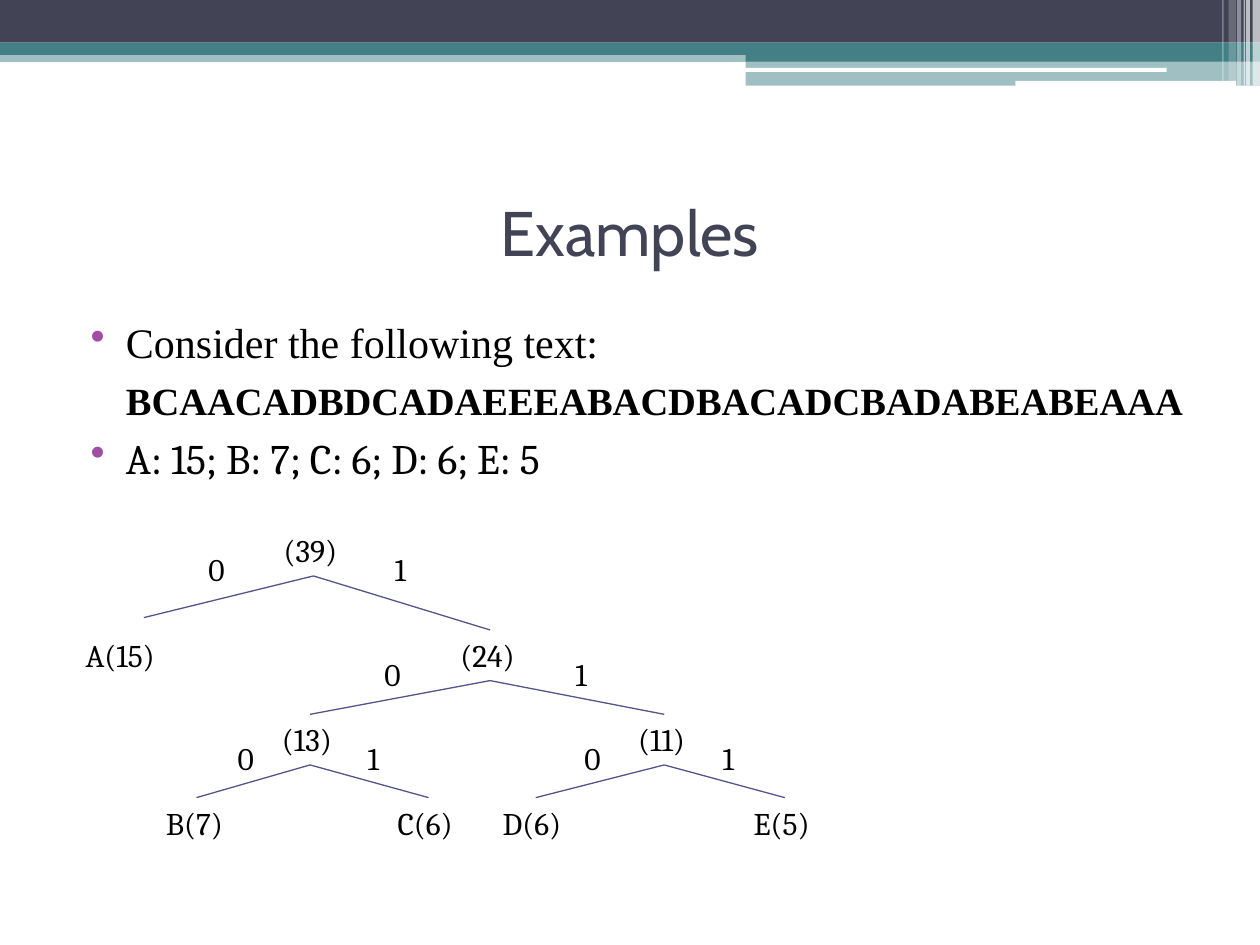
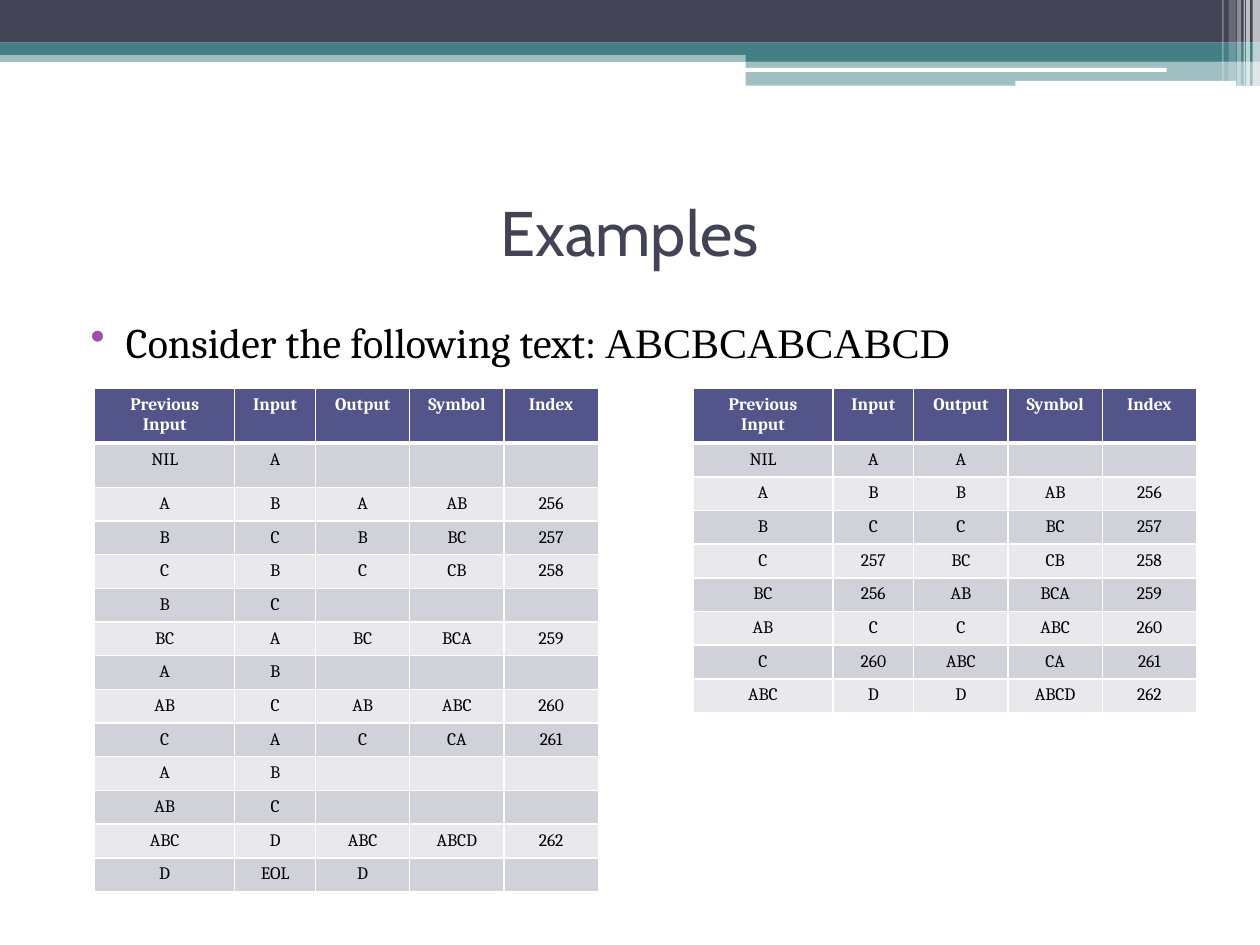
from dataclasses import dataclass
from lxml import etree
from pptx import Presentation
from pptx import util as u
from pptx.dml.color import RGBColor
from pptx.enum import shapes, text
from pptx.oxml.ns import qn


@dataclass(frozen=True)
class Theme:
    dark: str = "424456"
    teal: str = "438086"
    indigo: str = "53548A"
    bullet: str = "A04DA3"
    band_dark: str = "D1D1DA"
    band_light: str = "E9E9ED"
    white: str = "FFFFFF"
    black: str = "000000"
    heading: str = "Cabin"
    body: str = "Cambria"
    serif: str = "Times New Roman"
    title_size: int = 36
    body_size: int = 24
    code_size: int = 22
    tree_size: int = 18
    table_size: int = 10


THEME = Theme()

# ---- Content (lengths in cm) ----
TITLE = "Examples"

# Header bands: left, top, width, height, colour, opacity in percent, rounded
BANDS = [
    (0, 1.02, 25.4, 0.23, THEME.teal, 50, False),
    (0, 0, 25.4, 0.86, THEME.dark, 100, False),
    (0, 0.86, 25.4, 0.25, THEME.teal, 100, False),
    (15.03, 0.99, 10.37, 0.25, THEME.teal, 100, False),
    (15.03, 1.23, 10.37, 0.5, THEME.teal, 50, False),
    (15.01, 1.37, 8.51, 0.08, THEME.white, 100, True),
    (20.47, 1.63, 4.45, 0.1, THEME.white, 100, True),
]
# Bright stripes at the right edge: left, width, height, opacity
STRIPES = [
    (25.25, 0.15, 1.73, 65), (25.12, 0.08, 1.73, 65), (25.07, 0.03, 1.73, 60),
    (24.94, 0.08, 1.73, 40), (24.77, 0.15, 1.63, 20), (24.64, 0.03, 1.63, 30),
]
BANDS += [(left, 0, width, height, THEME.white, opacity, False)
          for left, width, height, opacity in STRIPES]

# Paragraphs: bulleted, space before, runs of (text, font, size, bold)
HUFFMAN_TEXT = [
    (True, 3, [("Consider the following text:", THEME.serif, THEME.body_size, False)]),
    (False, 6, [("BCAACADBDCADAEEEABACDBACADCBADABEABEAAA",
                 THEME.serif, THEME.code_size, True)]),
    (True, 5, [("A: 15; B: 7; C: 6; D: 6; E: 5", THEME.body, THEME.body_size, False)]),
]
LZW_TEXT = [
    (True, 3, [("Consider the following text: ", THEME.body, THEME.body_size, False),
               ("ABCBCABCABCD", THEME.serif, THEME.body_size, False)]),
]

# Tree nodes: label -> centre, level, box width
NODES = {
    "(39)": (6.32, 0, 1.7),
    "A(15)": (2.49, 1, 2.03), "(24)": (9.88, 1, 1.7),
    "(13)": (6.25, 2, 1.63), "(11)": (13.39, 2, 1.55),
    "B(7)": (3.96, 3, 1.73), "C(6)": (8.64, 3, 1.75),
    "D(6)": (10.8, 3, 1.83), "E(5)": (15.82, 3, 1.75),
}
# Parent -> its children on branches 0 and 1
BRANCHES = {
    "(39)": ("A(15)", "(24)"), "(24)": ("(13)", "(11)"),
    "(13)": ("B(7)", "C(6)"), "(11)": ("D(6)", "E(5)"),
}
LEVEL_TOPS = [10.59, 12.7, 14.4, 16.08]
LABEL_HEIGHT = 1.02
BRANCH_WIDTHS = {"0": 0.91, "1": 0.79}
BRANCH_DROP = 0.38
LINE_ENDS = {"A(15)": (2.9, 12.45)}  # this leaf's line stops short of it

HEADINGS = ["Previous Input", "Input", "Output", "Symbol", "Index"]
ENCODING = [
    ["NIL", "A", "", "", ""],
    ["A", "B", "A", "AB", "256"],
    ["B", "C", "B", "BC", "257"],
    ["C", "B", "C", "CB", "258"],
    ["B", "C", "", "", ""],
    ["BC", "A", "BC", "BCA", "259"],
    ["A", "B", "", "", ""],
    ["AB", "C", "AB", "ABC", "260"],
    ["C", "A", "C", "CA", "261"],
    ["A", "B", "", "", ""],
    ["AB", "C", "", "", ""],
    ["ABC", "D", "ABC", "ABCD", "262"],
    ["D", "EOL", "D", "", ""],
]
DECODING = [
    ["NIL", "A", "A", "", ""],
    ["A", "B", "B", "AB", "256"],
    ["B", "C", "C", "BC", "257"],
    ["C", "257", "BC", "CB", "258"],
    ["BC", "256", "AB", "BCA", "259"],
    ["AB", "C", "C", "ABC", "260"],
    ["C", "260", "ABC", "CA", "261"],
    ["ABC", "D", "D", "ABCD", "262"],
]
COLUMN_WIDTHS = [2.82, 1.63, 1.9, 1.9, 1.9]
ROW_HEIGHT, HEADER_HEIGHT, TALL_ROW = 0.67, 1.04, 0.89
TABLE_TOP = 7.83


# ---- Helpers ----
def place(*lengths):
    return [u.Cm(length) for length in lengths]


def add_run(paragraph, words, font, size, color=THEME.black, bold=False):
    run = paragraph.add_run()
    run.text = words
    for name, value in {"name": font, "size": u.Pt(size), "bold": bold}.items():
        setattr(run.font, name, value)
    run.font.color.rgb = RGBColor.from_string(color)


def paint(fill, color, opacity=100):
    fill.solid()
    fill.fore_color.rgb = RGBColor.from_string(color)
    if opacity < 100:
        for node in fill._xPr.iter(qn("a:srgbClr")):
            etree.SubElement(node, qn("a:alpha"), val=str(opacity * 1000))


def add_bands(slide, layout):
    """Draw the header bands and hand them to the shared layout."""
    for placeholder in list(layout.placeholders):
        if placeholder.placeholder_format.idx >= 10:
            placeholder._element.getparent().remove(placeholder._element)
    kinds = shapes.MSO_SHAPE
    for position, (*box, color, opacity, rounded) in enumerate(BANDS):
        shape = slide.shapes.add_shape(
            kinds.ROUNDED_RECTANGLE if rounded else kinds.RECTANGLE, *place(*box))
        shape.shadow.inherit = False
        shape.line.fill.background()
        paint(shape.fill, color, opacity)
        layout.shapes._spTree.insert(2 + position, shape._element)


def add_title(slide):
    title = slide.shapes.title
    title.left, title.top, title.width, title.height = place(1.27, 3.18, 22.86, 2.97)
    title.text_frame.vertical_anchor = text.MSO_ANCHOR.MIDDLE
    paragraph = title.text_frame.paragraphs[0]
    paragraph.alignment = text.PP_ALIGN.CENTER
    add_run(paragraph, TITLE, THEME.heading, THEME.title_size, THEME.dark)


def add_body(slide, content):
    frame = slide.shapes.add_textbox(*place(1.27, 6.25, 22.86, 12.37)).text_frame
    frame.word_wrap = True
    for index, (bulleted, space, runs) in enumerate(content):
        paragraph = frame.add_paragraph() if index else frame.paragraphs[0]
        paragraph.alignment = text.PP_ALIGN.JUSTIFY
        paragraph.space_before = u.Pt(space)
        properties = paragraph._p.get_or_add_pPr()
        properties.set("marL", str(u.Cm(1.02)))
        properties.set("indent", str(u.Cm(-0.71 if bulleted else 0)))
        if bulleted:
            color = etree.SubElement(properties, qn("a:buClr"))
            etree.SubElement(color, qn("a:srgbClr"), val=THEME.bullet)
            etree.SubElement(properties, qn("a:buChar"), char="\u2022")
        for run in runs:
            add_run(paragraph, *run[:3], bold=run[3])


def add_label(slide, words, center, top, width):
    box = slide.shapes.add_textbox(*place(center - width / 2, top, width, LABEL_HEIGHT))
    box.text_frame.word_wrap = False
    box.text_frame.auto_size = text.MSO_AUTO_SIZE.SHAPE_TO_FIT_TEXT
    add_run(box.text_frame.paragraphs[0], words, THEME.body, THEME.tree_size)


def add_tree(slide):
    for label, (center, level, width) in NODES.items():
        add_label(slide, label, center, LEVEL_TOPS[level], width)
    for parent, children in BRANCHES.items():
        start, level, _ = NODES[parent]
        top = LEVEL_TOPS[level]
        for bit, child in zip("01", children):
            center, child_level, _ = NODES[child]
            end = LINE_ENDS.get(child, (center, LEVEL_TOPS[child_level]))
            line = slide.shapes.add_connector(
                shapes.MSO_CONNECTOR.STRAIGHT, *place(start, top + LABEL_HEIGHT, *end))
            line.line.color.rgb = RGBColor.from_string(THEME.indigo)
            line.line.width = u.Pt(0.75)
            etree.SubElement(line._element.spPr, qn("a:effectLst"))
            # Below the root, branch digits sit slightly outside the line's middle
            outward = 0.11 * (1 if bit == "1" else -1) if level else 0
            add_label(slide, bit, (start + center) / 2 + outward,
                      top + BRANCH_DROP, BRANCH_WIDTHS[bit])


def format_cell(cell, words, is_header, color):
    paragraph = cell.text_frame.paragraphs[0]
    paragraph.alignment = text.PP_ALIGN.CENTER
    if words:
        add_run(paragraph, words, THEME.body, THEME.table_size,
                THEME.white if is_header else THEME.black, is_header)
    else:
        paragraph._p.get_or_add_endParaRPr().set("sz", str(THEME.table_size * 100))
    properties = cell._tc.get_or_add_tcPr()
    for side in ("lnL", "lnR", "lnT", "lnB"):
        points = 3 if is_header and side == "lnB" else 1
        border = etree.SubElement(properties, qn("a:" + side), w=str(u.Pt(points)))
        fill = etree.SubElement(border, qn("a:solidFill"))
        etree.SubElement(fill, qn("a:srgbClr"), val=THEME.white)
    paint(cell.fill, color)


def add_steps_table(slide, left, steps, first_height=ROW_HEIGHT):
    rows = [HEADINGS] + steps
    heights = [HEADER_HEIGHT, first_height] + [ROW_HEIGHT] * (len(steps) - 1)
    table = slide.shapes.add_table(
        len(rows), len(HEADINGS),
        *place(left, TABLE_TOP, sum(COLUMN_WIDTHS), sum(heights))).table
    for column, width in zip(table.columns, COLUMN_WIDTHS):
        column.width = u.Cm(width)
    for index, (row, height) in enumerate(zip(rows, heights)):
        table.rows[index].height = u.Cm(height)
        band = THEME.band_dark if index % 2 else THEME.band_light
        for column, words in enumerate(row):
            format_cell(table.cell(index, column), words, index == 0,
                        band if index else THEME.indigo)


# ---- Build ----
presentation = Presentation()
presentation.slide_width, presentation.slide_height = place(25.4, 19.05)
title_only = presentation.slide_layouts[5]

# Huffman tree
huffman = presentation.slides.add_slide(title_only)
add_bands(huffman, title_only)
add_title(huffman)
add_body(huffman, HUFFMAN_TEXT)
add_tree(huffman)

# Dictionary coding: encoding and decoding steps
dictionary = presentation.slides.add_slide(title_only)
add_title(dictionary)
add_body(dictionary, LZW_TEXT)
add_steps_table(dictionary, 1.91, ENCODING, TALL_ROW)
add_steps_table(dictionary, 13.97, DECODING)

presentation.save("out.pptx")
